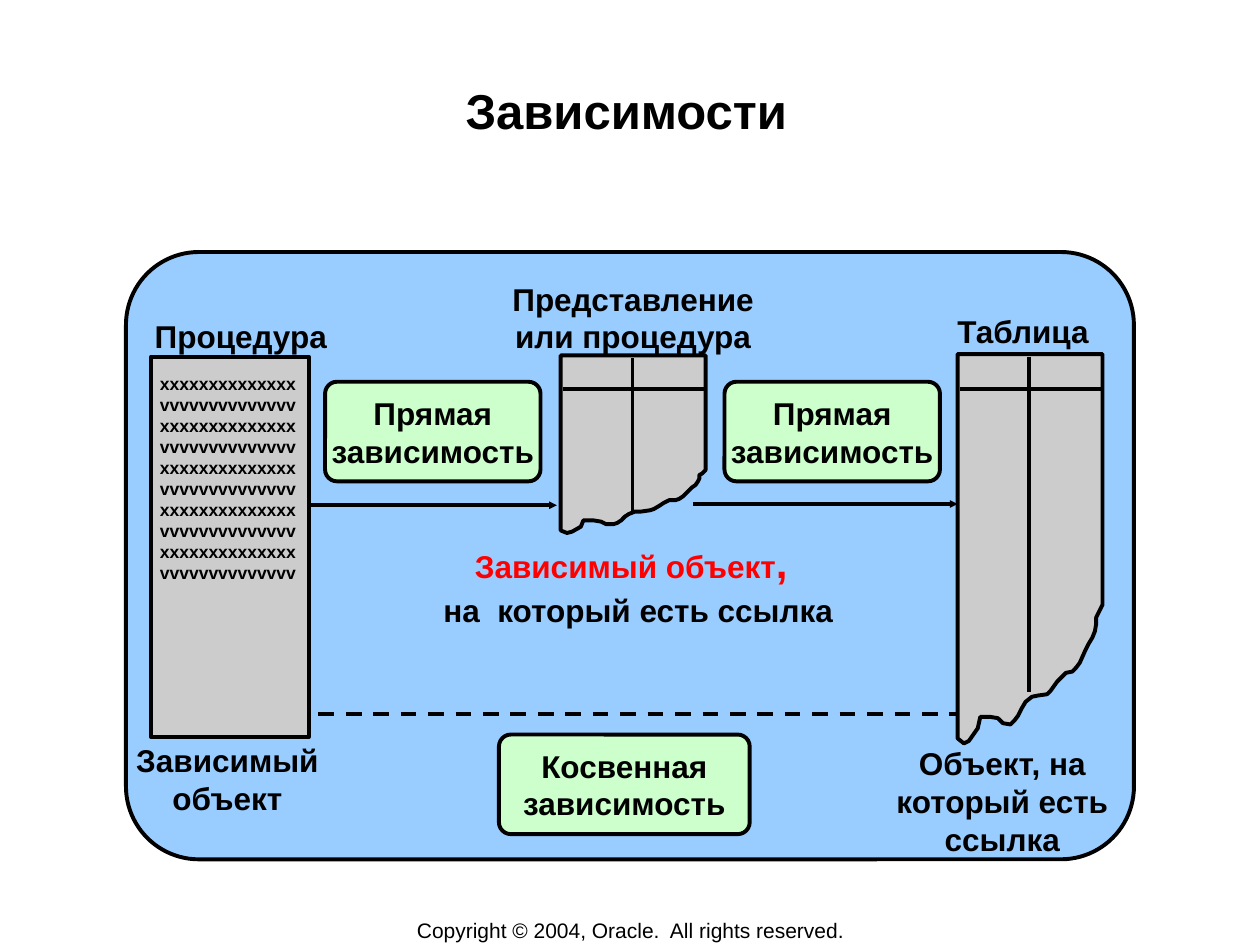
from dataclasses import dataclass
from lxml.etree import SubElement
from pptx import Presentation
from pptx.dml.color import RGBColor
from pptx.enum.dml import MSO_LINE
from pptx.enum.shapes import MSO_CONNECTOR, MSO_SHAPE
from pptx.enum.text import MSO_ANCHOR, MSO_AUTO_SIZE, PP_ALIGN
from pptx.oxml.ns import qn
from pptx.util import Pt


@dataclass(frozen=True)
class Theme:
    font: str = "Arial"
    ink: RGBColor = RGBColor(0, 0, 0)
    red: RGBColor = RGBColor(255, 0, 0)
    blue: RGBColor = RGBColor(0x99, 0xCC, 0xFF)
    green: RGBColor = RGBColor(0xCC, 0xFF, 0xCC)
    gray: RGBColor = RGBColor(0xCC, 0xCC, 0xCC)
    title: Pt = Pt(28)
    large: Pt = Pt(24)
    body: Pt = Pt(18)
    foot: Pt = Pt(12)
    code: Pt = Pt(10)
    line: Pt = Pt(2.25)


theme = Theme()
PX = 9144
LEFT, MID = PP_ALIGN.LEFT, PP_ALIGN.CENTER

deck = Presentation()
deck.slide_width, deck.slide_height = 1000 * PX, 750 * PX
slide = deck.slides.add_slide(deck.slide_layouts[5])
shapes = slide.shapes


def write(frame, text, size, align=MID, bold=True, pads=(10, 5)):
    frame.text = text
    frame.margin_left = frame.margin_right = pads[0] * PX
    frame.margin_top = frame.margin_bottom = pads[1] * PX
    for para in frame.paragraphs:
        para.alignment = align
        for run in para.runs:
            run.font.name = theme.font
            run.font.size = size
            run.font.bold = bold
            run.font.color.rgb = theme.ink


def draw(x1, y1, x2, y2, arrow=False):
    line = shapes.add_connector(MSO_CONNECTOR.STRAIGHT, x1 * PX, y1 * PX, x2 * PX, y2 * PX)
    line.line.color.rgb = theme.ink
    line.line.width = theme.line
    if arrow:
        SubElement(line.line._get_or_add_ln(), qn("a:tailEnd"), type="triangle", w="sm", len="sm")
    SubElement(line._element.spPr, qn("a:effectLst"))
    return line


title = shapes.title
title.left, title.top, title.width, title.height = 97 * PX, 58 * PX, 800 * PX, 96 * PX
write(title.text_frame, "Зависимости", theme.title, pads=(1, 6))
title.text_frame.vertical_anchor = MSO_ANCHOR.TOP
title.text_frame.auto_size = MSO_AUTO_SIZE.NONE

foot = shapes.add_textbox(276 * PX, 728 * PX, 449 * PX, 21 * PX).text_frame
write(foot, "Copyright © 2004, Oracle.  All rights reserved.", theme.foot, bold=False)
foot.vertical_anchor = MSO_ANCHOR.MIDDLE
foot.word_wrap = False

direct = "Прямая\nзависимость"
blocks = [
    (100, 200, 800, 482, theme.blue, ""),
    (258, 303, 171, 79, theme.green, direct),
    (575, 303, 171, 79, theme.green, direct),
    (396, 583, 199, 79, theme.green, "Косвенная\nзависимость"),
    (120, 283, 125, 302, theme.gray, ""),
]

dash = None
for x, y, w, h, fill, text in blocks:
    if fill == theme.gray:
        dash = draw(231, 567, 778, 567, True)
        dash.line.dash_style = MSO_LINE.DASH
        kind = MSO_SHAPE.RECTANGLE
    else:
        kind = MSO_SHAPE.ROUNDED_RECTANGLE
    block = shapes.add_shape(kind, x * PX, y * PX, w * PX, h * PX)
    if kind == MSO_SHAPE.ROUNDED_RECTANGLE:
        block.adjustments[0] = 0.12
    block.shadow.inherit = False
    block.fill.solid()
    block.fill.fore_color.rgb = fill
    block.line.color.rgb = theme.ink
    block.line.width = theme.line
    if text:
        write(block.text_frame, text, theme.body)
        block.text_frame.vertical_anchor = MSO_ANCHOR.MIDDLE
        block.text_frame.word_wrap = False

labels = [
    (396, 217, 213, 70, "Представление\nили процедура", MID, False),
    (342, 464, 331, 40, "на  который есть ссылка", LEFT, False),
    (750, 243, 125, 40, "Таблица", LEFT, False),
    (683, 586, 225, 100, "Объект, на который есть ссылка", MID, True),
    (113, 247, 157, 40, "Процедура", LEFT, False),
    (70, 583, 221, 70, "Зависимый объект", MID, True),
]
for x, y, w, h, text, align, wrap in labels:
    frame = shapes.add_textbox(x * PX, y * PX, w * PX, h * PX).text_frame
    write(frame, text, theme.body, align)
    frame.word_wrap = wrap
    frame.auto_size = MSO_AUTO_SIZE.SHAPE_TO_FIT_TEXT

code = shapes.add_textbox(119 * PX, 292 * PX, 124 * PX, 192 * PX).text_frame
write(code, "\n".join(["x" * 14, "v" * 14] * 5), theme.code, LEFT, pads=(8, 4))
code.word_wrap = False

both = shapes.add_textbox(367 * PX, 421 * PX, 269 * PX, 50 * PX).text_frame
write(both, "Зависимый объект", theme.body, LEFT)
both.word_wrap = False
comma = both.paragraphs[0].add_run()
comma.text = ","
comma.font.name, comma.font.size, comma.font.bold = theme.font, theme.large, True
for run in both.paragraphs[0].runs:
    run.font.color.rgb = theme.red

torn = [
    (115, 0), (0, 0), (0, 305), (5, 309), (9, 307), (16, 297), (18, 288), (26, 288),
    (32, 289), (36, 293), (42, 294), (45, 291), (48, 287), (51, 281), (54, 276),
    (59, 272), (64, 271), (71, 270), (74, 267), (79, 260), (82, 257), (86, 253),
    (91, 252), (94, 249), (97, 245), (101, 236), (104, 230), (107, 225), (109, 220),
    (110, 214), (110, 209), (112, 205), (115, 199),
]
for x, y, tall, stem in [(445, 282, 141, 406), (760, 281, 309, 549)]:
    edge = [(x + dx, y + round(dy * tall / 309)) for dx, dy in torn]
    pen = shapes.build_freeform(*edge[-1], scale=PX)
    pen.add_line_segments(edge, close=True)
    sheet = pen.convert_to_shape()
    sheet.shadow.inherit = False
    sheet.fill.solid()
    sheet.fill.fore_color.rgb = theme.gray
    sheet.line.color.rgb = theme.ink
    sheet.line.width = theme.line
    mid = x + 57
    draw(mid, y + 2, mid, stem)
    draw(x + 2, 309, x + 115, 309)

draw(245, 401, 442, 401, True)
draw(550, 400, 760, 400, True)

deck.save("out.pptx")
